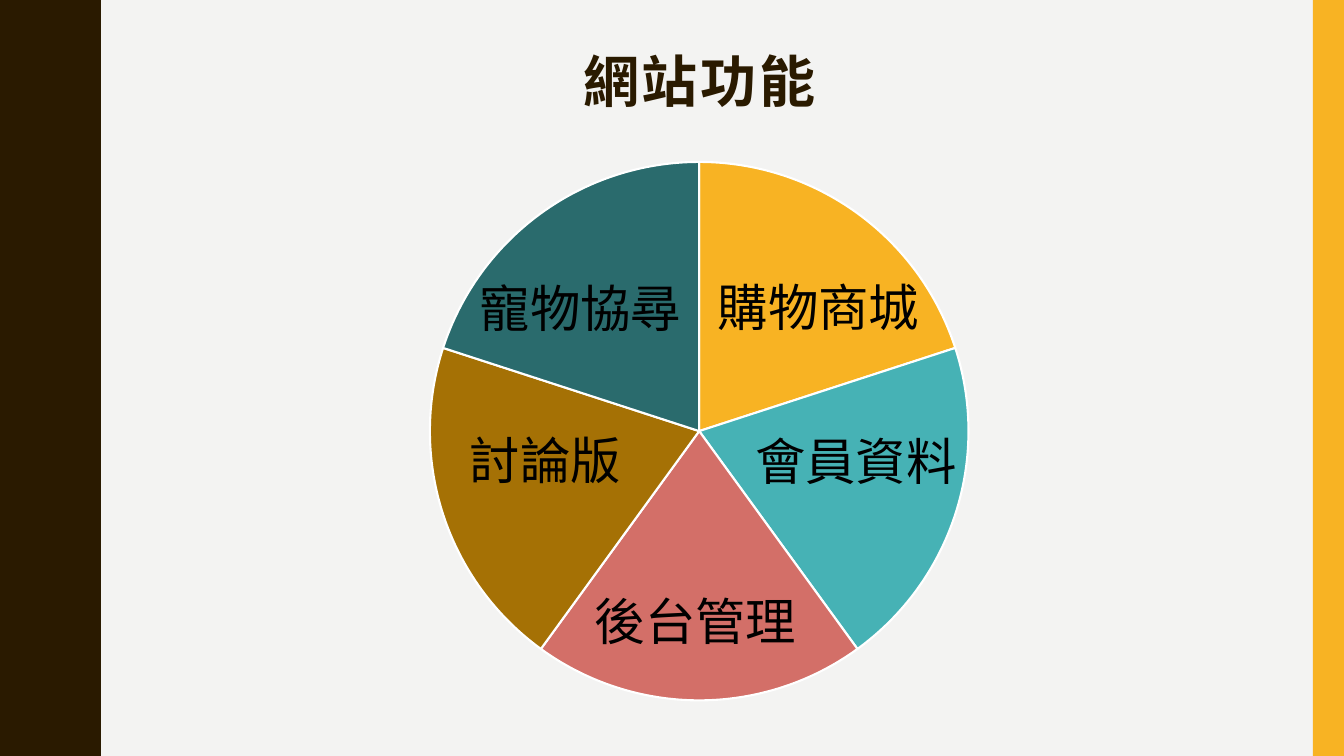
from lxml import etree
from pptx import Presentation
from pptx import util as u
from pptx.chart.data import CategoryChartData
from pptx.dml.color import RGBColor
from pptx.enum import chart, shapes, text
from pptx.oxml import ns

Inches, Pt = u.Inches, u.Pt
PAPER = RGBColor(0xF3, 0xF3, 0xF2)
BROWN = RGBColor(0x2A, 0x1A, 0x00)
GOLD = RGBColor(0xF8, 0xB3, 0x23)
BLACK = RGBColor(0x00, 0x00, 0x00)
WHITE = RGBColor(0xFF, 0xFF, 0xFF)
TEAL = RGBColor(0x46, 0xB2, 0xB5)
ROSE = RGBColor(0xD3, 0x6F, 0x68)
OCHRE = RGBColor(0xA5, 0x71, 0x05)
PINE = RGBColor(0x2A, 0x6B, 0x6D)
SLICES = [GOLD, TEAL, ROSE, OCHRE, PINE]

WAVE_PERIOD = 1.5
WAVE_COUNT = 5
HALF_WAVE = [
    (0.78, 0), (0.78, 0.07), (0.79, 0.14), (0.8, 0.2), (0.81, 0.25),
    (0.83, 0.29), (0.85, 0.33), (0.87, 0.38), (0.89, 0.42), (0.91, 0.46),
    (0.93, 0.5), (0.95, 0.55), (0.96, 0.61), (0.97, 0.68), (0.97, 0.75),
]
LABELS = [
    ("討論版", 4.56, 4.21, 1.79),
    ("寵物協尋", 4.66, 2.7, 2.27),
    ("購物商城", 7.02, 2.69, 2.27),
    ("會員資料", 7.39, 4.22, 2.27),
    ("後台管理", 5.8, 5.8, 2.27),
]


def paint(sp, color):
    """Give a shape a plain fill without line or shadow."""
    sp.fill.solid()
    sp.fill.fore_color.rgb = color
    sp.line.fill.background()
    sp.shadow.inherit = False


def add_wave(s):
    """Draw the wavy band along the left edge."""
    falling = [(x, WAVE_PERIOD - y) for x, y in reversed(HALF_WAVE[:-1])]
    wave = HALF_WAVE + falling[:-1]
    edge = [(x, y + i * WAVE_PERIOD) for i in range(WAVE_COUNT) for x, y in wave]
    bottom = WAVE_COUNT * WAVE_PERIOD
    points = edge + [(HALF_WAVE[0][0], bottom), (0, bottom)]
    builder = s.shapes.build_freeform(0, 0, scale=Inches(1))
    builder.add_line_segments(points, close=True)
    paint(builder.convert_to_shape(), BROWN)


def add_bar(s):
    """Draw the gold bar along the right edge."""
    sp = s.shapes.add_shape(shapes.MSO_SHAPE.RECTANGLE, Inches(13.02), 0, Inches(0.31), Inches(7.5))
    paint(sp, GOLD)


def add_text(s, words, box, size, font, color):
    """Add a one-line text box and return its shape and run."""
    sp = s.shapes.add_textbox(*map(Inches, box))
    tf = sp.text_frame
    tf.word_wrap = True
    r = tf.paragraphs[0].add_run()
    r.text = words
    r.font.size = Pt(size)
    r.font.name = font
    r.font.color.rgb = color
    return sp, r


def add_title(s, words):
    """Add the centred, letter-spaced heading."""
    sp, r = add_text(s, words, (1.37, 0.42, 11.13, 0.84), 40, "Arial", BROWN)
    sp.text_frame.vertical_anchor = text.MSO_ANCHOR.MIDDLE
    p = sp.text_frame.paragraphs[0]
    p.alignment = text.PP_ALIGN.CENTER
    p.line_spacing = 0.9
    r.font.bold = True
    r.font._element.set("spc", "200")


def set_plot_layout(ch, **fractions):
    """Fix the inner plot area as fractions of the chart."""
    area = ch._chartSpace.chart.plotArea
    for old in area.findall(ns.qn("c:layout")):
        area.remove(old)
    layout = etree.Element(ns.qn("c:layout"))
    manual = etree.SubElement(layout, ns.qn("c:manualLayout"))
    values = {"layoutTarget": "inner", "xMode": "edge", "yMode": "edge", **fractions}
    for name, value in values.items():
        etree.SubElement(manual, ns.qn(f"c:{name}")).set("val", str(value))
    area.insert(0, layout)


def add_pie(s):
    """Add the pie of five equal slices."""
    data = CategoryChartData()
    data.categories = [str(i + 1) for i in range(len(SLICES))]
    data.add_series("Series 1", [20] * len(SLICES))
    box = map(Inches, (1.37, 1.42, 11.13, 5.66))
    ch = s.shapes.add_chart(chart.XL_CHART_TYPE.PIE, *box, data).chart
    ch.has_legend = False
    ch.has_title = False
    ch.font.size = Pt(10)
    ch.font.name = "Cabin"
    ch.font.color.rgb = BLACK
    plot = ch.plots[0]
    plot.vary_by_categories = True
    for i, color in enumerate(SLICES):
        fmt = plot.series[0].points[i].format
        fmt.fill.solid()
        fmt.fill.fore_color.rgb = color
        fmt.line.color.rgb = WHITE
        fmt.line.width = Pt(1.5)
    set_plot_layout(ch, x=0.26, y=0.03, w=0.48, h=0.95)


def main():
    """Build the slide and save it."""
    prs = Presentation()
    prs.slide_width, prs.slide_height = Inches(13.33), Inches(7.5)
    s = prs.slides.add_slide(prs.slide_layouts[6])
    s.background.fill.solid()
    s.background.fill.fore_color.rgb = PAPER
    add_wave(s)
    add_bar(s)
    add_title(s, "網站功能")
    add_pie(s)
    for words, left, top, width in LABELS:
        sp, _ = add_text(s, words, (left, top, width, 0.71), 36, "Cabin", BLACK)
        sp.text_frame.auto_size = text.MSO_AUTO_SIZE.SHAPE_TO_FIT_TEXT
    prs.save("out.pptx")


if __name__ == "__main__":
    main()
